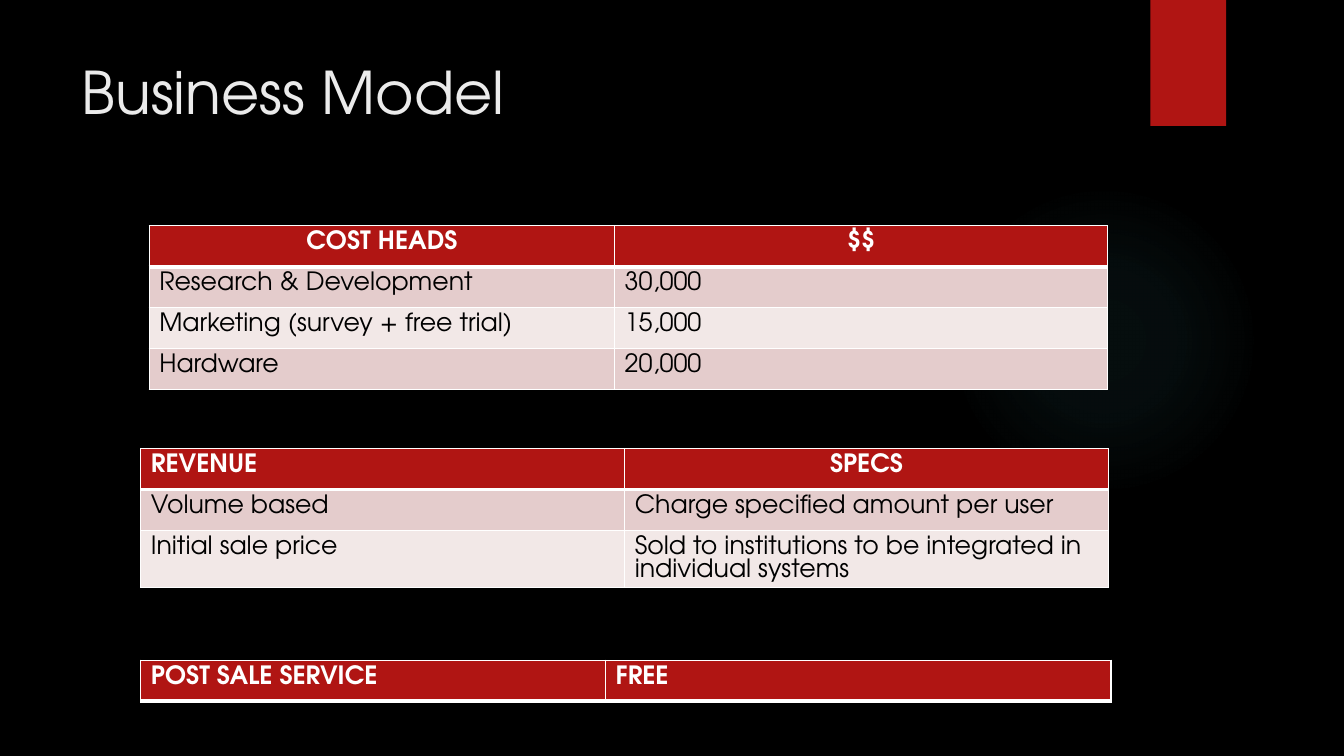
"""Build the business model slide with its cost, revenue and service tables."""
from dataclasses import dataclass

from lxml.etree import SubElement
from pptx import Presentation
from pptx.dml.color import RGBColor as Rgb
from pptx.enum.shapes import MSO_SHAPE as Shape
from pptx.enum.text import MSO_ANCHOR as Anchor, PP_ALIGN as Align
from pptx.oxml import parse_xml
from pptx.oxml.ns import nsdecls, qn
from pptx.util import Pt


@dataclass(frozen=True)
class Theme:
    """Colours, font and type sizes of the slide."""
    back: str = "000000"
    red: str = "B01513"
    glow: str = "50B9C1"
    title: str = "EBEBEB"
    white: str = "FFFFFF"
    ink: str = "000000"
    bands: tuple = ("E4CCCC", "F2E8E7")
    font: str = "TeX Gyre Adventor"
    head: float = 42
    body: float = 18
    lead: float = 16.8
    row: float = 29.2


THEME = Theme()


def style(para, size, color, bold=False):
    """Format every run of a paragraph."""
    for run in para.runs:
        font = run.font
        font.name, font.size, font.bold = THEME.font, Pt(size), bold
        font.color.rgb = Rgb.from_string(color)


def add_block(slide, kind, box, color):
    """Add a plain filled shape without line or shadow."""
    shape = slide.shapes.add_shape(kind, *map(Pt, box))
    shape.shadow.inherit = False
    shape.fill.solid()
    shape.fill.fore_color.rgb = Rgb.from_string(color)
    shape.line.fill.background()
    return shape


def add_glow(slide, box):
    """Add a faint ellipse that fades out from its centre."""
    shape = add_block(slide, Shape.OVAL, box, THEME.glow)
    stops = "".join(
        f'<a:gs pos="{pos * 1000}"><a:srgbClr val="{THEME.glow}">'
        f'<a:alpha val="{alpha * 1000}"/></a:srgbClr></a:gs>'
        for pos, alpha in ((0, 7), (36, 6), (69, 0), (100, 0)))
    grad = parse_xml(
        f'<a:gradFill {nsdecls("a")}><a:gsLst>{stops}</a:gsLst>'
        '<a:path path="circle"><a:fillToRect l="50000" t="50000" '
        'r="50000" b="50000"/></a:path></a:gradFill>')
    props = shape.element.spPr
    props.replace(props.find(qn("a:solidFill")), grad)


def set_title(slide, text, box):
    """Fill, place and format the title placeholder."""
    title = slide.shapes.title
    title.left, title.top, title.width, title.height = map(Pt, box)
    frame = title.text_frame
    frame.text = text
    frame.word_wrap = True
    frame.vertical_anchor = Anchor.TOP
    para = frame.paragraphs[0]
    para.alignment = Align.LEFT
    para.line_spacing = 1.0
    style(para, THEME.head, THEME.title)


def set_edges(cell, top, base):
    """Draw white borders on all four sides of a cell."""
    props = cell._tc.get_or_add_tcPr()
    for side, width in (("L", 1), ("R", 1), ("T", top), ("B", base)):
        line = SubElement(props, qn(f"a:ln{side}"), w=str(Pt(width)))
        fill = SubElement(line, qn("a:solidFill"))
        SubElement(fill, qn("a:srgbClr"), val=THEME.white)


def set_cell(cell, text, row, align):
    """Fill one cell as a header (row 0) or a banded body cell."""
    head = row == 0
    set_edges(cell, 3 if row == 1 else 1, 3 if head else 1)
    cell.fill.solid()
    cell.fill.fore_color.rgb = Rgb.from_string(
        THEME.red if head else THEME.bands[(row - 1) % 2])
    cell.text_frame.text = text
    para = cell.text_frame.paragraphs[0]
    para.alignment = align
    para.line_spacing = Pt(THEME.lead)
    style(para, THEME.body, THEME.white if head else THEME.ink, head)


def add_grid(slide, left, top, widths, rows, aligns):
    """Add a table whose header cells take the given alignments."""
    frame = slide.shapes.add_table(
        len(rows), len(widths), Pt(left), Pt(top),
        Pt(sum(widths)), Pt(THEME.row * len(rows)))
    table = frame.table
    table.horz_banding = False
    for col, width in zip(table.columns, widths):
        col.width = Pt(width)
    for r, texts in enumerate(rows):
        table.rows[r].height = Pt(THEME.row)
        for c, text in enumerate(texts):
            align = aligns[c] if r == 0 else Align.LEFT
            set_cell(table.cell(r, c), text, r, align)


def main():
    """Build and save the slide."""
    deck = Presentation()
    deck.slide_width, deck.slide_height = Pt(960), Pt(540)
    slide = deck.slides.add_slide(deck.slide_layouts[5])
    fill = slide.background.fill
    fill.solid()
    fill.fore_color.rgb = Rgb.from_string(THEME.back)

    add_glow(slide, (677.5, 131.8, 221.8, 221.8))
    add_block(slide, Shape.RECTANGLE, (821.8, 0, 54, 90), THEME.red)
    set_title(slide, "Business Model", (51.1, 36, 740.9, 110.2))
    add_grid(slide, 106.6, 161.3, (332.4, 352.2), (
        ("COST HEADS", "$$"),
        ("Research & Development", "30,000"),
        ("Marketing (survey + free trial)", "15,000"),
        ("Hardware", "20,000"),
    ), (Align.CENTER, Align.CENTER))
    add_grid(slide, 100.6, 320.4, (345.6, 345.6), (
        ("REVENUE", "SPECS"),
        ("Volume based", "Charge specified amount per user"),
        ("Initial sale price",
         "Sold to institutions to be integrated in individual systems"),
    ), (Align.LEFT, Align.CENTER))
    add_grid(slide, 100.6, 471.6, (332, 361), (
        ("POST SALE SERVICE", "FREE"),
    ), (Align.LEFT, Align.LEFT))
    deck.save("out.pptx")


if __name__ == "__main__":
    main()
